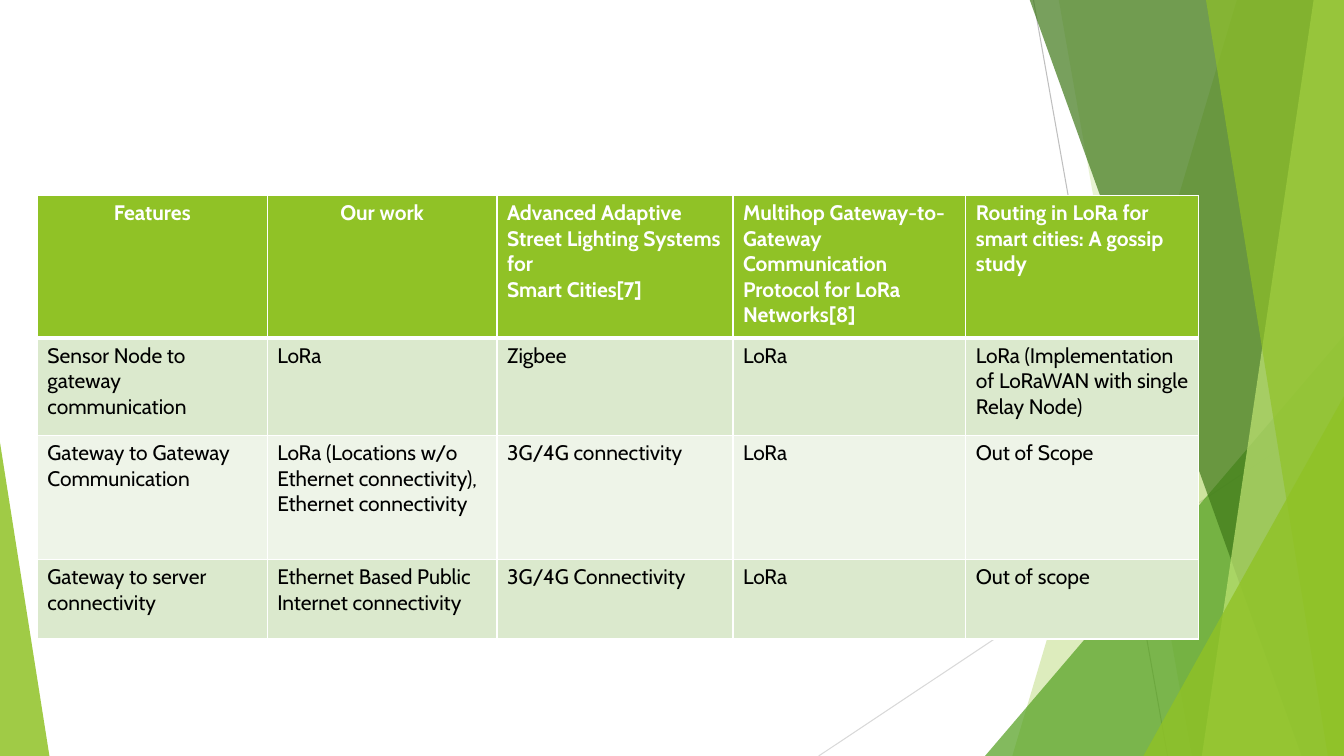
from lxml.etree import SubElement
from pptx import Presentation
from pptx.dml.color import RGBColor
from pptx.enum.shapes import MSO_CONNECTOR, MSO_SHAPE
from pptx.enum.text import PP_ALIGN
from pptx.oxml.ns import qn
from pptx.util import Inches, Pt

WHITE = RGBColor(0xFF, 0xFF, 0xFF)
BLACK = RGBColor(0, 0, 0)
LIME = RGBColor(0x90, 0xC2, 0x26)
GREEN = RGBColor(0x54, 0xA0, 0x21)
DARK_GREEN = RGBColor(0x3F, 0x78, 0x19)
PALE_LIME = RGBColor(0xC0, 0xE4, 0x74)
SILVER = RGBColor(0xBF, 0xBF, 0xBF)
LIGHT_GRAY = RGBColor(0xD9, 0xD9, 0xD9)
BAND_DARK = RGBColor(0xDB, 0xE9, 0xCD)
BAND_LIGHT = RGBColor(0xEE, 0xF4, 0xE8)

WIDTH, HEIGHT, TOP = 13.33, 7.5, -0.01

LINES = [
    (10.25, 0, 11.58, HEIGHT, SILVER),
    (WIDTH, 4.03, 8.12, HEIGHT, LIGHT_GRAY),
]
BACK_BANDS = [(12.27, 10.04, LIME, 30), (10.5, 11.82, LIME, 20)]
FRONT_BANDS = [
    (10.21, 12.91, DARK_GREEN, 70),
    (13.03, 11.92, PALE_LIME, 70),
    (11.96, 13.17, LIME, 65),
]

COLUMN_WIDTHS = [2.28, 2.28, 2.34, 2.31, 2.31]
ROW_HEIGHTS = [1.41, 0.97, 1.23, 0.79]
ROWS = [
    ["Features", "Our work",
     "Advanced Adaptive Street Lighting Systems for\nSmart Cities[7]",
     "Multihop Gateway-to-Gateway Communication\nProtocol for LoRa Networks[8]",
     "Routing in LoRa for smart cities: A gossip study"],
    ["Sensor Node to gateway communication", "LoRa", "Zigbee", "LoRa",
     "LoRa (Implementation of LoRaWAN with single Relay Node)"],
    ["Gateway to Gateway\nCommunication",
     "LoRa (Locations w/o Ethernet connectivity),\nEthernet connectivity",
     "3G/4G connectivity", "LoRa", "Out of Scope"],
    ["Gateway to server connectivity",
     "Ethernet Based Public Internet connectivity",
     "3G/4G Connectivity", "LoRa", "Out of scope"],
]


class SlideBuilder:
    font = "Cabin"
    size = Pt(15)

    def __init__(self, slide):
        self.slide = slide
        self.shapes = slide.shapes

    def line(self, x1, y1, x2, y2, color):
        connector = self.shapes.add_connector(
            MSO_CONNECTOR.STRAIGHT, Inches(x1), Inches(y1), Inches(x2), Inches(y2))
        connector.line.color.rgb = color
        connector.line.width = Pt(0.75)
        SubElement(connector._element.spPr, qn("a:effectLst"))

    def paint(self, shape, color, opacity):
        shape.shadow.inherit = False
        shape.line.fill.background()
        shape.fill.solid()
        shape.fill.fore_color.rgb = color
        color_element = shape._element.spPr.find(qn("a:solidFill"))[0]
        SubElement(color_element, qn("a:alpha"), val=str(opacity * 1000))

    def band(self, top_x, bottom_x, color, opacity):
        builder = self.shapes.build_freeform(Inches(top_x), Inches(TOP))
        corners = [(WIDTH, TOP), (WIDTH, HEIGHT), (bottom_x, HEIGHT)]
        builder.add_line_segments([(Inches(x), Inches(y)) for x, y in corners])
        self.paint(builder.convert_to_shape(), color, opacity)

    def corner_triangle(self, left, width, height, apex, color, opacity):
        shape = self.shapes.add_shape(
            MSO_SHAPE.ISOSCELES_TRIANGLE, Inches(left), Inches(HEIGHT - height),
            Inches(width), Inches(height))
        shape.adjustments[0] = apex
        self.paint(shape, color, opacity)

    def borders(self, cell, top, bottom):
        properties = cell._tc.get_or_add_tcPr()
        for side, width in (("L", 1), ("R", 1), ("T", top), ("B", bottom)):
            border = SubElement(properties, qn(f"a:ln{side}"), w=str(Pt(width)))
            fill = SubElement(border, qn("a:solidFill"))
            SubElement(fill, qn("a:srgbClr"), val=str(WHITE))

    def cell(self, cell, text, row, column):
        header = row == 0
        self.borders(cell, 3 if row == 1 else 1, 3 if header else 1)
        cell.fill.solid()
        band = BAND_DARK if row % 2 else BAND_LIGHT
        cell.fill.fore_color.rgb = LIME if header else band
        frame = cell.text_frame
        for index, line in enumerate(text.split("\n")):
            paragraph = frame.add_paragraph() if index else frame.paragraphs[0]
            centered = header and column < 2
            paragraph.alignment = PP_ALIGN.CENTER if centered else PP_ALIGN.LEFT
            run = paragraph.add_run()
            run.text = line
            run.font.name = self.font
            run.font.size = self.size
            run.font.bold = header
            run.font.color.rgb = WHITE if header else BLACK

    def table(self, left, top, rows, widths, heights):
        table = self.shapes.add_table(
            len(rows), len(widths), Inches(left), Inches(top),
            Inches(sum(widths)), Inches(sum(heights))).table
        for column, width in zip(table.columns, widths):
            column.width = Inches(width)
        for row, height in zip(table.rows, heights):
            row.height = Inches(height)
        for row, texts in enumerate(rows):
            for column, text in enumerate(texts):
                self.cell(table.cell(row, column), text, row, column)


def main():
    presentation = Presentation()
    presentation.slide_width = Inches(WIDTH)
    presentation.slide_height = Inches(HEIGHT)
    blank_layout = presentation.slide_layouts[6]
    builder = SlideBuilder(presentation.slides.add_slide(blank_layout))
    for line in LINES:
        builder.line(*line)
    for band in BACK_BANDS:
        builder.band(*band)
    builder.corner_triangle(9.77, 3.56, 4.17, 1, GREEN, 72)
    for band in FRONT_BANDS:
        builder.band(*band)
    builder.corner_triangle(11.34, 1.99, 3.57, 1, LIME, 80)
    builder.corner_triangle(0, 0.49, 3.11, 0, LIME, 85)
    builder.table(0.37, 1.94, ROWS, COLUMN_WIDTHS, ROW_HEIGHTS)
    presentation.save("out.pptx")


if __name__ == "__main__":
    main()
